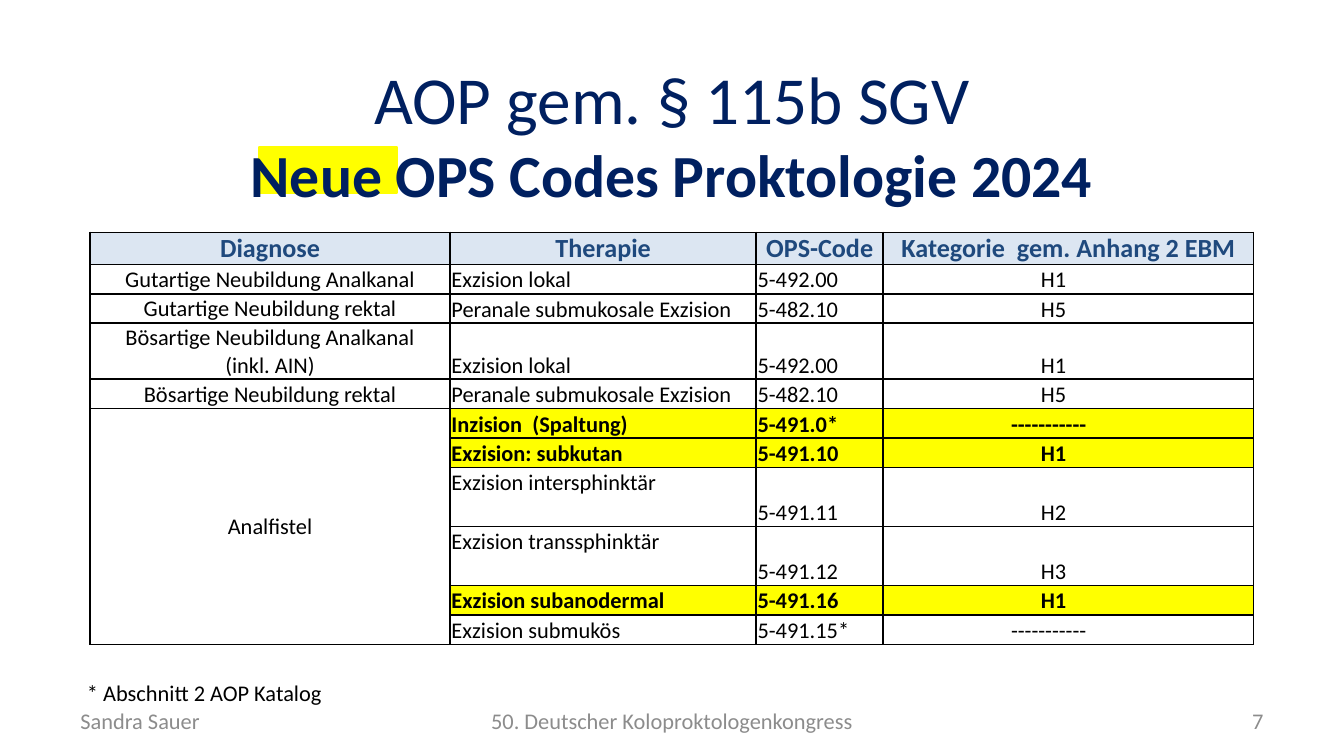
from lxml import etree
from pptx import Presentation
from pptx.dml.color import RGBColor
from pptx.enum.shapes import MSO_SHAPE
from pptx.enum.text import MSO_ANCHOR, MSO_AUTO_SIZE, PP_ALIGN
from pptx.oxml.ns import qn
from pptx.util import Pt

LEFT, CENTER, RIGHT = PP_ALIGN.LEFT, PP_ALIGN.CENTER, PP_ALIGN.RIGHT
TOP, MIDDLE, BOTTOM = MSO_ANCHOR.TOP, MSO_ANCHOR.MIDDLE, MSO_ANCHOR.BOTTOM

NAVY = RGBColor(0x00, 0x20, 0x60)
BLUE = RGBColor(0x1F, 0x49, 0x7D)
PALE_BLUE = RGBColor(0xDC, 0xE6, 0xF2)
YELLOW = RGBColor(0xFF, 0xFF, 0x00)
BLACK = RGBColor(0x00, 0x00, 0x00)
GRAY = RGBColor(0x8C, 0x8C, 0x8C)
FONT = "Calibri"

TITLE = [("AOP gem. § 115b SGV", 36, False),
         ("Neue OPS Codes Proktologie 2024", 32, True)]
HEADERS = ["Diagnose", "Therapie", "OPS-Code", "Kategorie  gem. Anhang 2 EBM"]
NONE = "-----------"
# diagnosis, [(therapy, code, category, is new)]
DIAGNOSES = [
    ("Gutartige Neubildung Analkanal", [("Exzision lokal", "5-492.00", "H1", False)]),
    ("Gutartige Neubildung rektal",
     [("Peranale submukosale Exzision", "5-482.10", "H5", False)]),
    ("Bösartige Neubildung Analkanal\v(inkl. AIN)",
     [("Exzision lokal", "5-492.00", "H1", False)]),
    ("Bösartige Neubildung rektal",
     [("Peranale submukosale Exzision", "5-482.10", "H5", False)]),
    ("Analfistel", [
        ("Inzision  (Spaltung)", "5-491.0*", NONE, True),
        ("Exzision: subkutan", "5-491.10", "H1", True),
        ("Exzision intersphinktär", "5-491.11", "H2", False),
        ("Exzision transsphinktär", "5-491.12", "H3", False),
        ("Exzision subanodermal", "5-491.16", "H1", True),
        ("Exzision submukös", "5-491.15*", NONE, False),
    ]),
]
FOOTNOTE = "* Abschnitt 2 AOP Katalog"
# text, left, width, alignment
FOOTER = [("Sandra Sauer", 36, 168, LEFT),
          ("50. Deutscher Koloproktologenkongress", 246, 228, CENTER),
          ("7", 516, 168, RIGHT)]

COLUMN_WIDTHS = [193, 164, 68, 198.5]
HEADER_HEIGHT, ROW_HEIGHT, WRAPPED_HEIGHT, TALL_HEIGHT = 17.1, 15.8, 30, 31.6
TALL_THERAPIES = {"Exzision intersphinktär", "Exzision transsphinktär"}
CATEGORY_INDENT, NONE_INDENT = 84.5, 68.5


def write(frame, text, size=12, color=BLACK, bold=False, align=LEFT, new=False):
    """Write text as the first paragraph, or as a further one if new."""
    paragraph = frame.add_paragraph() if new else frame.paragraphs[0]
    paragraph.text = text
    paragraph.alignment = align
    font = paragraph.font
    font.name, font.size, font.bold = FONT, Pt(size), bold
    font.color.rgb = color


def add_borders(cell, width=1):
    properties = cell._tc.get_or_add_tcPr()
    for side in ("lnL", "lnR", "lnT", "lnB"):
        line = etree.SubElement(properties, qn(f"a:{side}"), w=str(Pt(width)))
        fill = etree.SubElement(line, qn("a:solidFill"))
        etree.SubElement(fill, qn("a:srgbClr"), val=str(BLACK))


def fill_cell(cell, text, fill=None, anchor=BOTTOM, indent=0.7, top=0.7, **style):
    cell.margin_left, cell.margin_right = Pt(indent), Pt(0.7)
    cell.margin_top, cell.margin_bottom = Pt(top), 0
    cell.vertical_anchor = anchor
    if fill is None:
        cell.fill.background()
    else:
        cell.fill.solid()
        cell.fill.fore_color.rgb = fill
    write(cell.text_frame, text, **style)


def add_table(slide, left, top, widths, heights):
    table = slide.shapes.add_table(len(heights), len(widths), Pt(left), Pt(top),
                                   Pt(sum(widths)), Pt(sum(heights))).table
    table.first_row = table.horz_banding = False
    for column, width in zip(table.columns, widths):
        column.width = Pt(width)
    for row, height in zip(table.rows, heights):
        row.height = Pt(height)
    return table


def row_height(diagnosis, therapy):
    if therapy in TALL_THERAPIES:
        return TALL_HEIGHT
    return WRAPPED_HEIGHT if "\v" in diagnosis else ROW_HEIGHT


def add_codes(slide):
    heights = [HEADER_HEIGHT] + [row_height(diagnosis, treatment[0])
                                 for diagnosis, treatments in DIAGNOSES
                                 for treatment in treatments]
    table = add_table(slide, 48.2, 124.5, COLUMN_WIDTHS, heights)
    for cell in table.iter_cells():
        add_borders(cell)
    for column, header in enumerate(HEADERS):
        fill_cell(table.cell(0, column), header, fill=PALE_BLUE, anchor=TOP, top=0,
                  size=14, color=BLUE, bold=True, align=CENTER)
    row = 1
    for diagnosis, treatments in DIAGNOSES:
        first = table.cell(row, 0)
        if len(treatments) > 1:
            first.merge(table.cell(row + len(treatments) - 1, 0))
        fill_cell(first, diagnosis, anchor=MIDDLE, align=CENTER)
        for therapy, code, category, is_new in treatments:
            look = {"fill": YELLOW if is_new else None, "bold": is_new}
            fill_cell(table.cell(row, 1), therapy,
                      anchor=TOP if therapy in TALL_THERAPIES else BOTTOM, **look)
            fill_cell(table.cell(row, 2), code, **look)
            fill_cell(table.cell(row, 3), category,
                      indent=NONE_INDENT if category == NONE else CATEGORY_INDENT, **look)
            row += 1


def add_title(slide):
    title = slide.shapes.title
    title.left, title.top, title.width, title.height = Pt(36), Pt(30), Pt(648), Pt(83)
    frame = title.text_frame
    frame.auto_size = MSO_AUTO_SIZE.NONE
    frame.vertical_anchor = MIDDLE
    frame.margin_top = frame.margin_bottom = 0
    for index, (line, size, bold) in enumerate(TITLE):
        write(frame, line, size=size, color=NAVY, bold=bold, align=CENTER, new=index > 0)

    highlight = slide.shapes.add_shape(MSO_SHAPE.RECTANGLE, Pt(139), Pt(79.2),
                                       Pt(73.4), Pt(23.8))
    highlight.shadow.inherit = False
    highlight.fill.solid()
    highlight.fill.fore_color.rgb = YELLOW
    highlight.line.color.rgb = YELLOW
    highlight.line.width = Pt(2)
    title._element.addprevious(highlight._element)


def add_footer(slide):
    for text, left, width, align in FOOTER:
        frame = slide.shapes.add_textbox(Pt(left), Pt(375.4), Pt(width), Pt(21.6)).text_frame
        frame.word_wrap = True
        frame.vertical_anchor = MIDDLE
        write(frame, text, color=GRAY, align=align)


def main():
    presentation = Presentation()
    presentation.slide_width, presentation.slide_height = Pt(720), Pt(405)
    slide = presentation.slides.add_slide(presentation.slide_layouts[5])
    add_title(slide)
    add_footer(slide)
    add_codes(slide)
    footnote = add_table(slide, 20, 363.6, [179], [ROW_HEIGHT])
    fill_cell(footnote.cell(0, 0), FOOTNOTE, anchor=MIDDLE, align=CENTER)
    presentation.save("out.pptx")


if __name__ == "__main__":
    main()
